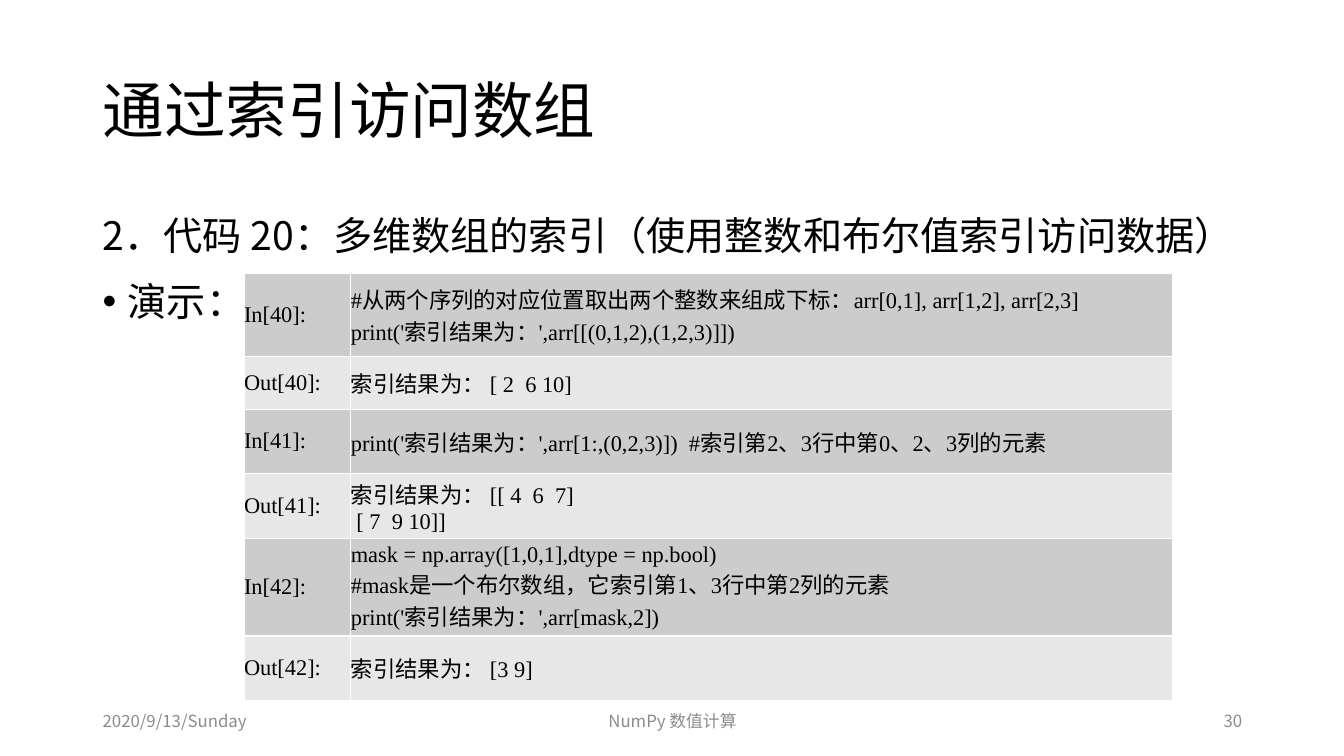
from dataclasses import dataclass

from lxml import etree
from pptx import Presentation
from pptx import util as u
from pptx.dml.color import RGBColor
from pptx.enum import text
from pptx.oxml import ns

W, H = 13.33, 7.5
ALIGN, ANCHOR = text.PP_ALIGN, text.MSO_ANCHOR


@dataclass(frozen=True)
class Theme:
    sans: str = "Noto Sans CJK SC"
    serif: str = "Times New Roman"
    ink: str = "000000"
    muted: str = "8C8C8C"
    grid: str = "FFFFFF"
    bands: tuple = ("CCCCCC", "E7E7E7")  # In rows, Out rows
    title: int = 44
    body: int = 28
    code: int = 16
    footer: int = 12


T = Theme()
MARGIN = 0.92
CONTENT_W = 11.5

CELLS = [
    ("In[40]:", ["#从两个序列的对应位置取出两个整数来组成下标：arr[0,1], arr[1,2], arr[2,3]",
                 "print('索引结果为：',arr[[(0,1,2),(1,2,3)]])"], 0.83),
    ("Out[40]:", ["索引结果为： [ 2  6 10]"], 0.52),
    ("In[41]:", ["print('索引结果为：',arr[1:,(0,2,3)])  #索引第2、3行中第0、2、3列的元素"], 0.64),
    ("Out[41]:", ["索引结果为： [[ 4  6  7]", " [ 7  9 10]]"], 0.64),
    ("In[42]:", ["mask = np.array([1,0,1],dtype = np.bool)",
                 "#mask是一个布尔数组，它索引第1、3行中第2列的元素",
                 "print('索引结果为：',arr[mask,2])"], 0.97),
    ("Out[42]:", ["索引结果为： [3 9]"], 0.64),
]


def child(parent, tag, **attrs):
    return etree.SubElement(parent, ns.qn(tag), attrs)


def write(tf, lines, size, color=T.ink, font=T.sans, **fmt):
    """Fill a text frame, one paragraph per line, with shared formatting."""
    for i, line in enumerate(lines):
        p = tf.paragraphs[0] if i == 0 else tf.add_paragraph()
        for name, value in fmt.items():
            setattr(p, name, value)
        r = p.add_run()
        r.text = line
        r.font.size = u.Pt(size)
        r.font.name = font
        r.font.color.rgb = RGBColor.from_string(color)
        r.font.language_id = None
        latin = r.font._element.find(ns.qn("a:latin"))
        ea = etree.Element(ns.qn("a:ea"), typeface=T.sans)
        latin.addnext(ea)


def add_text(s, box, lines, size, anchor=ANCHOR.MIDDLE, **fmt):
    tf = s.shapes.add_textbox(*map(u.Inches, box)).text_frame
    tf.word_wrap = True
    tf.vertical_anchor = anchor
    write(tf, lines, size, **fmt)
    return tf


def add_body(s, box):
    tf = add_text(s, box, ["2．代码 20：多维数组的索引（使用整数和布尔值索引访问数据）", "演示："],
                  T.body, ANCHOR.TOP, line_spacing=1.1)
    # Bulleted second paragraph
    p = tf.paragraphs[1]
    p.space_before = u.Pt(10)
    pPr = p._p.get_or_add_pPr()
    indent = u.Inches(0.25)
    pPr.set("marL", str(indent))
    pPr.set("indent", str(-indent))
    child(pPr, "a:buFont", typeface="Arial")
    child(pPr, "a:buChar", char="•")


def style_cell(cell, lines, fill):
    for side in ("left", "right", "top", "bottom"):
        setattr(cell, f"margin_{side}", 0)
    cell.vertical_anchor = ANCHOR.MIDDLE
    write(cell.text_frame, lines, T.code, font=T.serif, alignment=ALIGN.JUSTIFY)
    # Borders come before the fill in the cell properties
    tcPr = cell._tc.get_or_add_tcPr()
    for side in "LRTB":
        ln = child(tcPr, f"a:ln{side}", w=str(u.Pt(1)))
        child(child(ln, "a:solidFill"), "a:srgbClr", val=T.grid)
    cell.fill.solid()
    cell.fill.fore_color.rgb = RGBColor.from_string(fill)


def add_code_table(s, box):
    table = s.shapes.add_table(len(CELLS), 2, *map(u.Inches, box)).table
    table.first_row = table.horz_banding = False
    label_w = 1.06
    for col, width in zip(table.columns, (label_w, box[2] - label_w)):
        col.width = u.Inches(width)
    for i, (label, code, height) in enumerate(CELLS):
        table.rows[i].height = u.Inches(height)
        for j, lines in enumerate(([label], code)):
            style_cell(table.cell(i, j), lines, T.bands[i % 2])


def add_footer(s, box):
    x, y, w, h = box
    side, middle = 3, 4.5
    parts = [
        ("2020/9/13/Sunday", x, side, ALIGN.LEFT),
        ("NumPy 数值计算", x + (w - middle) / 2, middle, ALIGN.CENTER),
        ("30", x + w - side, side, ALIGN.RIGHT),
    ]
    for label, left, width, align in parts:
        add_text(s, (left, y, width, h), [label], T.footer, color=T.muted, alignment=align)


def main():
    prs = Presentation()
    prs.slide_width, prs.slide_height = u.Inches(W), u.Inches(H)
    s = prs.slides.add_slide(prs.slide_layouts[6])
    # Title, body, footer, then the table on top
    add_text(s, (MARGIN, 0.4, CONTENT_W, 1.45), ["通过索引访问数组"], T.title, line_spacing=0.9)
    add_body(s, (MARGIN, 2, CONTENT_W, 4.76))
    add_footer(s, (MARGIN, 6.95, CONTENT_W, 0.4))
    add_code_table(s, (MARGIN + 1.5, 2.71, 9.21, 4.25))
    prs.save("out.pptx")


if __name__ == "__main__":
    main()
